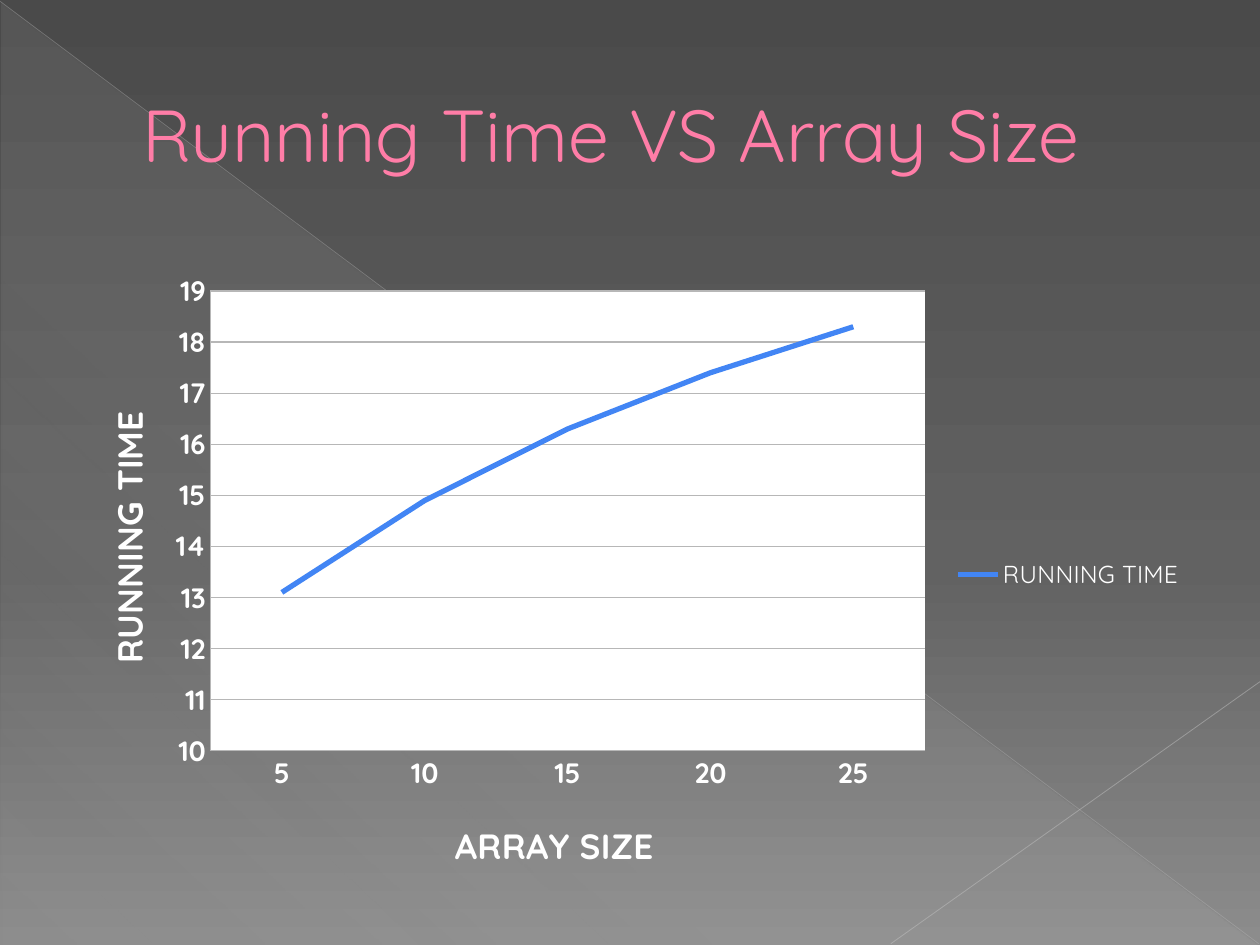
"""Build a slide with a line chart of running time against array size."""
from lxml.etree import SubElement
from pptx import Presentation
from pptx.chart.data import CategoryChartData
from pptx.dml.color import RGBColor
from pptx.enum.chart import XL_CHART_TYPE as CHART, XL_LEGEND_POSITION as LEGEND, XL_TICK_MARK as TICK
from pptx.enum.shapes import MSO_CONNECTOR as CONN, MSO_SHAPE as SHAPE
from pptx.enum.text import MSO_ANCHOR as ANCHOR
from pptx.oxml.ns import qn
from pptx.util import Inches, Pt

FONT = "Quicksand"
WHITE = "FFFFFF"


def rgb(hex_color):
    """Turn a hex string into a colour."""
    return RGBColor.from_string(hex_color)


def child(parent, tag, **attrs):
    """Append an XML child with attributes."""
    el = SubElement(parent, qn(tag))
    for name, value in attrs.items():
        el.set(name, str(value))
    return el


def set_font(font, size, color=WHITE, bold=False):
    """Format a font."""
    for name, value in {"name": FONT, "size": Pt(size), "bold": bold}.items():
        setattr(font, name, value)
    font.color.rgb = rgb(color)


def set_gradient(fill, root, stops, angle):
    """Give a fill gradient stops of position, colour and opacity."""
    fill.gradient()
    grad = next(root.iter(qn("a:gradFill")))
    for el in list(grad):
        grad.remove(el)
    gs_list = child(grad, "a:gsLst")
    for pos, color, alpha in stops:
        gs = child(gs_list, "a:gs", pos=pos * 1000)
        clr = child(gs, "a:srgbClr", val=color)
        if alpha < 100:
            child(clr, "a:alpha", val=alpha * 1000)
    child(grad, "a:lin", ang=angle * 60000, scaled=0)


def add_triangle(slide):
    """Add the translucent background triangle."""
    sp = slide.shapes.add_shape(
        SHAPE.RIGHT_TRIANGLE, Inches(0.01), Inches(0.02), Inches(9.98), Inches(7.48))
    sp.shadow.inherit = False
    sp.line.fill.background()
    stops = [(0, "D2D2D2", 10), (70, "D2D2D2", 8), (100, "D2D2D2", 1)]
    set_gradient(sp.fill, sp._element, stops, 133)


def add_line(slide, start, end, color, width, alpha):
    """Add a thin translucent line."""
    ends = [Inches(v) for v in (*start, *end)]
    ln = slide.shapes.add_connector(CONN.STRAIGHT, *ends)
    ln.line.color.rgb = rgb(color)
    ln.line.width = Pt(width)
    child(next(ln._element.iter(qn("a:srgbClr"))), "a:alpha", val=alpha * 1000)
    child(ln._element.spPr, "a:effectLst")


def add_title(slide, text):
    """Add the outlined slide title."""
    box = slide.shapes.add_textbox(Inches(0.5), Inches(0.29), Inches(9), Inches(1.53))
    tf = box.text_frame
    for name, value in {"word_wrap": True, "vertical_anchor": ANCHOR.MIDDLE}.items():
        setattr(tf, name, value)
    p = tf.paragraphs[0]
    p._p.get_or_add_pPr().set("marL", str(Inches(0.53)))
    r = p.add_run()
    r.text = text
    set_font(r.font, 42, "FF7DA7")
    rpr = r.font._element
    ln = child(rpr, "a:ln", w=Pt(0.5))
    child(child(ln, "a:solidFill"), "a:srgbClr", val="B12761")
    rpr.insert(0, ln)


def manual_layout(x, y, size=None):
    """Return a chart layout element in fractions of the chart."""
    values = {"xMode": "edge", "yMode": "edge", "x": x, "y": y}
    if size:
        values = {"layoutTarget": "inner", **values, "w": size[0], "h": size[1]}
    holder = SubElement(SubElement(rgb_root(), qn("c:layout")), qn("c:manualLayout"))
    for name, value in values.items():
        child(holder, f"c:{name}", val=value)
    return holder.getparent()


def rgb_root():
    """Return a scratch parent for new chart elements."""
    return CategoryChartData().xml_bytes and Presentation().element


def place(parent, index, layout):
    """Replace any layout of a chart part."""
    for old in parent.findall(qn("c:layout")):
        parent.remove(old)
    parent.insert(index, layout)


def format_axis(axis, title, x, y):
    """Format an axis and place its title."""
    axis.major_tick_mark = axis.minor_tick_mark = TICK.NONE
    axis.format.line.color.rgb = rgb("B7B7B7")
    set_font(axis.tick_labels.font, 16, bold=True)
    tf = axis.axis_title.text_frame
    tf.text = title
    set_font(tf.paragraphs[0].runs[0].font, 20, bold=True)
    place(axis.axis_title._element, 1, manual_layout(x, y))


def add_chart(slide):
    """Add the running time line chart."""
    data = CategoryChartData()
    data.categories = ["5", "10", "15", "20", "25"]
    data.add_series("RUNNING TIME", [13.1, 14.9, 16.3, 17.4, 18.3])
    chart = slide.shapes.add_chart(
        CHART.LINE, Inches(0.5), Inches(2.06), Inches(9), Inches(5), data).chart
    set_font(chart.font, 10)
    for name, value in {"has_title": False, "has_legend": True}.items():
        setattr(chart, name, value)
    chart.legend.position = LEGEND.RIGHT
    chart.legend.include_in_layout = False
    set_font(chart.legend.font, 14)

    format_axis(chart.category_axis, "ARRAY SIZE", 0.34, 0.88)
    axis = chart.value_axis
    format_axis(axis, "RUNNING TIME", 0.03, 0.23)
    for name, value in {"minimum_scale": 10, "maximum_scale": 19, "major_unit": 1}.items():
        setattr(axis, name, value)
    grid = axis.major_gridlines.format.line
    grid.color.rgb = rgb("B7B7B7")
    grid.width = Pt(0.75)

    plot = chart.plots[0]
    plot.vary_by_categories = False
    series = plot.series[0]
    series.smooth = False
    series.format.line.color.rgb = rgb("4285F4")
    series.format.line.width = Pt(3)

    area = next(chart._chartSpace.iter(qn("c:plotArea")))
    place(area, 0, manual_layout(0.13, 0.05, (0.63, 0.73)))
    fill = child(child(area, "c:spPr"), "a:solidFill")
    child(fill, "a:srgbClr", val=WHITE)


def main():
    """Build and save the slide."""
    prs = Presentation()
    prs.slide_width, prs.slide_height = Inches(10), Inches(7.5)
    slide = prs.slides.add_slide(prs.slide_layouts[6])
    stops = [(0, "4A4A4A", 100), (60, "626262", 100), (100, "8C8C8C", 100)]
    set_gradient(slide.background.fill, slide._element, stops, 90)
    add_triangle(slide)
    add_line(slide, (0, 0.01), (9.99, 7.49), "BFBFBF", 0.39, 35)
    add_line(slide, (10, 5.41), (7.07, 7.49), "C6C6C6", 0.47, 45)
    add_title(slide, "Running Time VS Array Size")
    add_chart(slide)
    prs.save("out.pptx")


if __name__ == "__main__":
    main()
